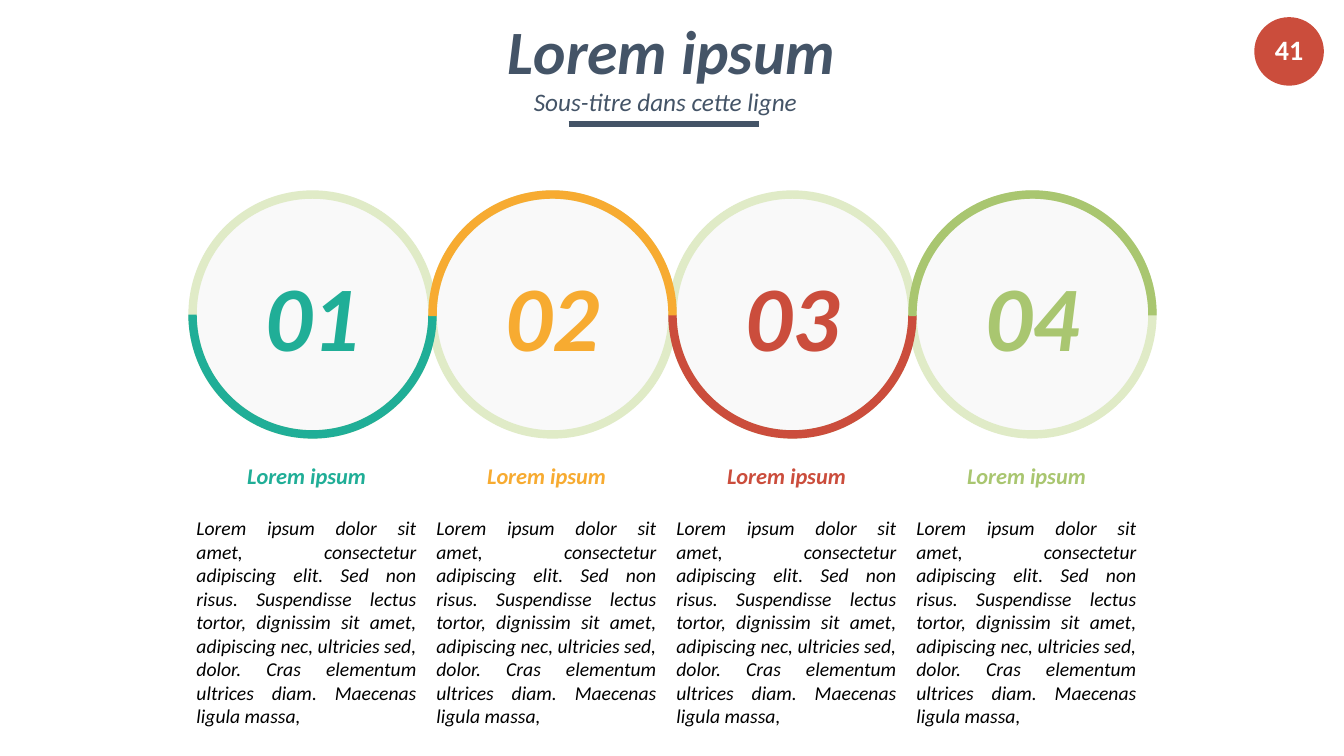
from lxml import etree
from pptx import Presentation
from pptx import util as u
from pptx.dml.color import RGBColor
from pptx.enum import shapes, text
from pptx.oxml.ns import qn

TEAL = RGBColor(0x20, 0xAE, 0x97)
ORANGE = RGBColor(0xF7, 0xAB, 0x31)
RED = RGBColor(0xCB, 0x4D, 0x3C)
GREEN = RGBColor(0xA9, 0xC6, 0x70)
PALE_GREEN = RGBColor(0xE0, 0xEB, 0xC7)
PALE_GREY = RGBColor(0xF9, 0xF9, 0xF9)
SLATE = RGBColor(0x44, 0x54, 0x67)
BLACK = RGBColor(0, 0, 0)
WHITE = RGBColor(0xFF, 0xFF, 0xFF)

TITLE = "Lorem ipsum"
SUBTITLE = "Sous-titre dans cette ligne"
PAGE_NUMBER = "41"
BODY = (
    "Lorem ipsum dolor sit amet, consectetur adipiscing elit. Sed non risus. "
    "Suspendisse lectus tortor, dignissim sit amet, adipiscing nec, ultricies sed, "
    "dolor. Cras elementum ultrices diam. Maecenas ligula massa,"
)
STEPS = [
    ("01", "Lorem ipsum", TEAL),
    ("02", "Lorem ipsum", ORANGE),
    ("03", "Lorem ipsum", RED),
    ("04", "Lorem ipsum", GREEN),
]

CELL = 2.38
RING_LEFT, RING_TOP = 1.91, 1.93
NUMBER_WIDTH, NUMBER_HEIGHT = 1.83, 1.7
CAPTION_LEFT, CAPTION_TOP, CAPTION_HEIGHT = 1.85, 4.64, 2.52
RING_WEIGHT = 6
FULL_TURN = (162, 162)
LOWER_HALF = (0.16, 107.94)
UPPER_HALF = (107.53, 0.27)

CENTER = text.PP_ALIGN.CENTER
JUSTIFY = text.PP_ALIGN.JUSTIFY
SHAPE = shapes.MSO_SHAPE


def inches(*lengths):
    return [u.Inches(length) for length in lengths]


def write(frame, lines, wrap=True):
    frame.word_wrap = wrap
    frame.auto_size = text.MSO_AUTO_SIZE.NONE
    frame.vertical_anchor = text.MSO_ANCHOR.MIDDLE
    for index, (words, size, color, font, layout) in enumerate(lines):
        para = frame.add_paragraph() if index else frame.paragraphs[0]
        for name, value in {"alignment": CENTER, **layout}.items():
            setattr(para, name, value)
        span = para.add_run()
        span.text = words
        values = {"name": "Calibri", "size": u.Pt(size), "bold": False, "italic": True}
        for name, value in {**values, **font}.items():
            setattr(span.font, name, value)
        span.font.color.rgb = color


def add_plain_shape(page, kind, box, fill=None, line=None, angles=()):
    shape = page.shapes.add_shape(kind, *inches(*box))
    shape.shadow.inherit = False
    for index, angle in enumerate(angles):
        shape.adjustments[index] = angle
    if fill is None:
        shape.fill.background()
    else:
        shape.fill.solid()
        shape.fill.fore_color.rgb = fill
    if line is None:
        shape.line.fill.background()
    else:
        shape.line.color.rgb = line
        shape.line.width = u.Pt(RING_WEIGHT)
    return shape


def add_heading(page):
    title = page.shapes.title
    title.left, title.top, title.width, title.height = inches(3.82, 0.15, 5.68, 0.68)
    write(title.text_frame, [(TITLE, 44, SLATE, {"bold": True}, {})])
    subtitle = page.shapes.add_textbox(*inches(3.76, 0.78, 5.68, 0.46))
    write(subtitle.text_frame, [(SUBTITLE, 18, SLATE, {}, {})])
    rule = page.shapes.add_connector(
        shapes.MSO_CONNECTOR.STRAIGHT, *inches(5.64, 1.23, 7.53, 1.23)
    )
    rule.line.color.rgb = SLATE
    rule.line.width = u.Pt(4.25)
    etree.SubElement(rule._element.spPr, qn("a:effectLst"))
    badge = add_plain_shape(page, SHAPE.OVAL, (12.44, 0.17, 0.69, 0.68), RED)
    font = {"bold": True, "italic": False}
    write(badge.text_frame, [(PAGE_NUMBER, 20, WHITE, font, {"line_spacing": 0.9})], False)


def add_steps(page):
    rings = [(RING_LEFT + column * CELL, RING_TOP, CELL, CELL) for column in range(len(STEPS))]
    for ring in rings:
        add_plain_shape(page, SHAPE.ARC, ring, PALE_GREY, PALE_GREEN, FULL_TURN)
    for first, half in ((0, LOWER_HALF), (1, UPPER_HALF)):
        for ring, (_, _, color) in list(zip(rings, STEPS))[first::2]:
            add_plain_shape(page, SHAPE.ARC, ring, line=color, angles=half)
    for column, (number, label, color) in enumerate(STEPS):
        left, top, _, _ = rings[column]
        number_box = (
            left + (CELL - NUMBER_WIDTH) / 2,
            top + (CELL - NUMBER_HEIGHT) / 2,
            NUMBER_WIDTH,
            NUMBER_HEIGHT,
        )
        disc = add_plain_shape(page, SHAPE.OVAL, number_box)
        write(disc.text_frame, [(number, 66, color, {"bold": True}, {})], False)
        caption = page.shapes.add_textbox(
            *inches(CAPTION_LEFT + column * CELL, CAPTION_TOP, CELL, CAPTION_HEIGHT)
        )
        write(caption.text_frame, [
            (label, 16, color, {"bold": True}, {"space_after": u.Pt(19.5)}),
            (BODY, 14, BLACK, {}, {"alignment": JUSTIFY}),
        ])


def main():
    deck = Presentation()
    deck.slide_width, deck.slide_height = inches(13.33, 7.5)
    page = deck.slides.add_slide(deck.slide_layouts[5])
    add_heading(page)
    add_steps(page)
    deck.save("out.pptx")


if __name__ == "__main__":
    main()
